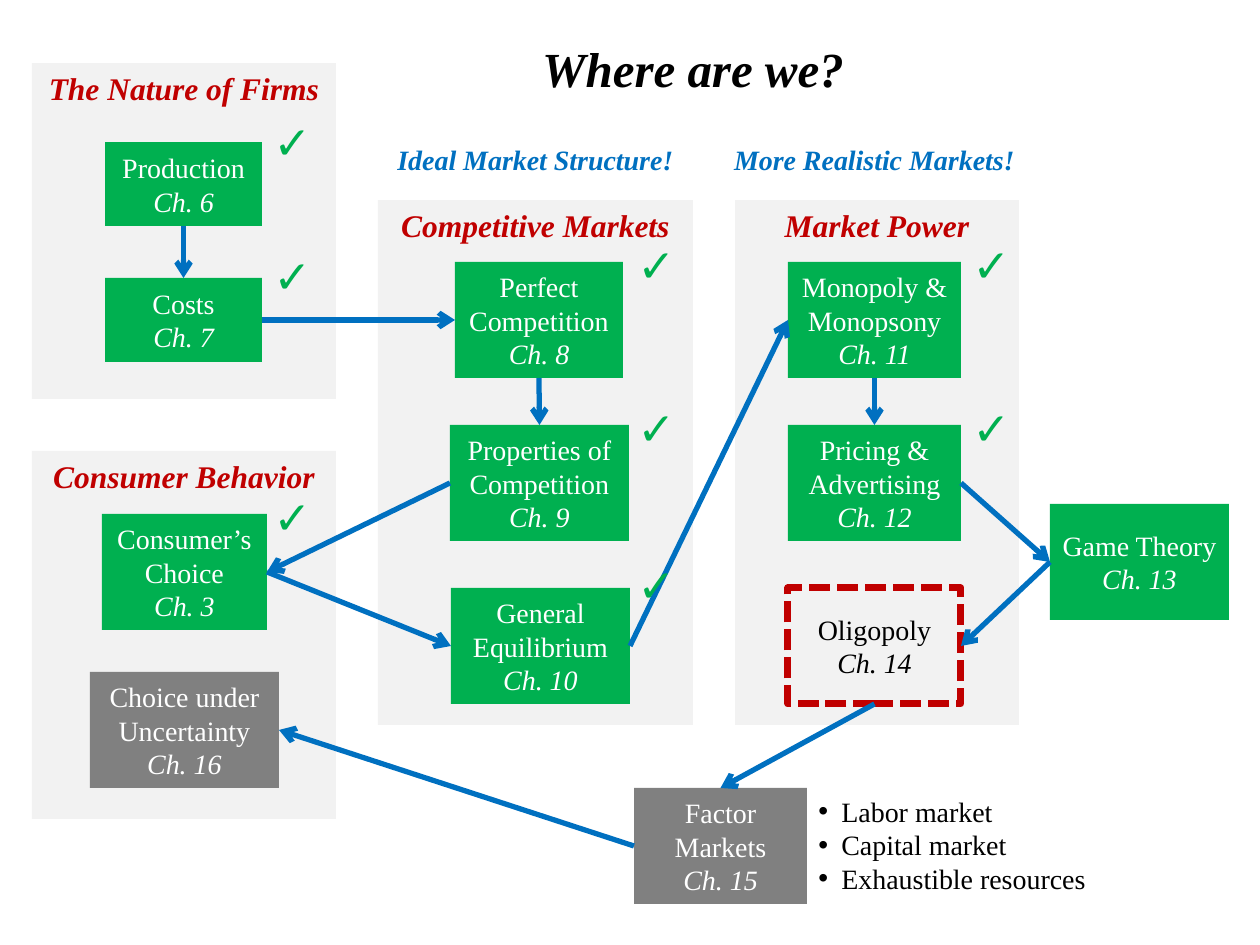
from lxml import etree
from pptx import Presentation
from pptx.dml.color import RGBColor
from pptx.enum.dml import MSO_LINE
from pptx.enum.shapes import MSO_CONNECTOR, MSO_SHAPE
from pptx.enum.text import MSO_ANCHOR, PP_ALIGN
from pptx.oxml.ns import qn
from pptx.util import Emu, Pt

EMU_PER_PX = 914400 / 126
RECTANGLE = MSO_SHAPE.RECTANGLE
STRAIGHT = MSO_CONNECTOR.STRAIGHT
DASH = MSO_LINE.SQUARE_DOT
TOP_ANCHOR, MIDDLE_ANCHOR = MSO_ANCHOR.TOP, MSO_ANCHOR.MIDDLE
LEFT_ALIGN, CENTER_ALIGN = PP_ALIGN.LEFT, PP_ALIGN.CENTER
TOP, LEFT, BOTTOM, RIGHT = range(4)  # connection sites of a rectangle

COLORS = {
    "panel": "F2F2F2", "done": "00B050", "later": "808080", "accent": "C00000",
    "arrow": "0070C0", "white": "FFFFFF", "black": "000000",
}
SERIF = "Times New Roman"
BOX_FONT = {"name": SERIF, "size": Pt(16)}
HEADING_FONT = {"name": SERIF, "size": Pt(18), "bold": True, "italic": True}
CAPTION_FONT = HEADING_FONT | {"size": Pt(16)}
TITLE_FONT = HEADING_FONT | {"size": Pt(28)}
CHECK_FONT = {"name": "Arial", "size": Pt(26)}

PANELS = [
    ("The Nature of Firms", 32, 63, 304, 336),
    ("Competitive Markets", 378, 200, 315, 525),
    ("Consumer Behavior", 32, 451, 304, 368),
    ("Market Power", 735, 200, 284, 525),
]
# chapter: topic, left, top, width, height, fill
TOPICS = {
    6: ("Production", 105, 142, 157, 84, "done"),
    7: ("Costs", 105, 278, 157, 84, "done"),
    8: ("Perfect Competition", 455, 262, 168, 116, "done"),
    9: ("Properties of Competition", 450, 425, 179, 116, "done"),
    10: ("General Equilibrium", 451, 588, 179, 116, "done"),
    3: ("Consumer’s Choice", 102, 514, 165, 116, "done"),
    11: ("Monopoly & Monopsony", 788, 262, 173, 116, "done"),
    12: ("Pricing & Advertising", 788, 425, 173, 116, "done"),
    13: ("Game Theory", 1050, 504, 179, 116, "done"),
    14: ("Oligopoly", 788, 588, 173, 116, None),
    15: ("Factor Markets", 634, 788, 173, 116, "later"),
    16: ("Choice under Uncertainty", 90, 672, 189, 116, "later"),
}
# from chapter, its side, to chapter, its side
ARROWS = [
    (6, BOTTOM, 7, TOP), (7, RIGHT, 8, LEFT), (8, BOTTOM, 9, TOP),
    (9, LEFT, 3, RIGHT), (3, RIGHT, 10, LEFT), (10, RIGHT, 11, LEFT),
    (11, BOTTOM, 12, TOP), (12, RIGHT, 13, LEFT), (13, LEFT, 14, RIGHT),
    (14, BOTTOM, 15, TOP), (15, LEFT, 16, RIGHT),
]
CHECK_COLUMNS = {261: (108, 242, 483), 625: (231, 394, 551), 960: (231, 394)}
FACTOR_MARKETS = ["Labor market", "Capital market", "Exhaustible resources"]


def px(*lengths):
    return [Emu(round(length * EMU_PER_PX)) for length in lengths]


def rgb(name):
    return RGBColor.from_string(COLORS[name])


def add_span(para, text, color, font):
    span = para.add_run()
    span.text = text
    span.font.color.rgb = rgb(color)
    for name, value in font.items():
        setattr(span.font, name, value)


def write_lines(shape, lines, color, anchor=TOP_ANCHOR, align=CENTER_ALIGN):
    """Write one paragraph for each (text, font) pair."""
    frame = shape.text_frame
    frame.word_wrap = True
    frame.vertical_anchor = anchor
    for index, (text, font) in enumerate(lines):
        para = frame.add_paragraph() if index else frame.paragraphs[0]
        para.alignment = align
        add_span(para, text, color, font)


def add_rectangle(page, place, fill):
    box = page.shapes.add_shape(RECTANGLE, *px(*place))
    box.shadow.inherit = False
    box.line.fill.background()
    if fill:
        box.fill.solid()
        box.fill.fore_color.rgb = rgb(fill)
    else:
        box.fill.background()
    return box


def add_panel(page, heading, *place):
    panel = add_rectangle(page, place, "panel")
    write_lines(panel, [(heading, HEADING_FONT)], "accent")


def add_topic(page, chapter, topic, *place, fill):
    """Add a chapter box; the current chapter has no fill but a dashed outline."""
    box = add_rectangle(page, place, fill)
    if not fill:
        box.line.color.rgb = rgb("accent")
        box.line.width = Pt(4)
        box.line.dash_style = DASH
    lines = [(topic, BOX_FONT), (f"Ch. {chapter}", BOX_FONT | {"italic": True})]
    write_lines(box, lines, "white" if fill else "black", MIDDLE_ANCHOR)
    return box


def add_arrow(page, start_box, start_side, end_box, end_side):
    arrow = page.shapes.add_connector(STRAIGHT, 0, 0, 0, 0)
    arrow.begin_connect(start_box, start_side)
    arrow.end_connect(end_box, end_side)
    arrow.line.color.rgb = rgb("arrow")
    arrow.line.width = Pt(3)
    etree.SubElement(arrow.line._get_or_add_ln(), qn("a:tailEnd"), type="arrow")
    etree.SubElement(arrow._element.spPr, qn("a:effectLst"))


def add_text(page, lines, color, font, *place, align=CENTER_ALIGN):
    box = page.shapes.add_textbox(*px(*place))
    write_lines(box, [(line, font) for line in lines], color, align=align)
    return box


def add_bullets(page, items, *place):
    box = add_text(page, items, "black", BOX_FONT, *place, align=LEFT_ALIGN)
    indent = px(23)[0]
    for para in box.text_frame.paragraphs:
        properties = para._p.get_or_add_pPr()
        properties.set("marL", str(indent))
        properties.set("indent", str(-indent))
        etree.SubElement(properties, qn("a:buFont"), typeface="Arial")
        etree.SubElement(properties, qn("a:buChar"), char="•")


def main():
    deck = Presentation()
    deck.slide_width, deck.slide_height = px(1260, 945)
    page = deck.slides.add_slide(deck.slide_layouts[6])

    for panel in PANELS:
        add_panel(page, *panel)
    boxes = {}
    for chapter, (*content, fill) in TOPICS.items():
        boxes[chapter] = add_topic(page, chapter, *content, fill=fill)
    for start, start_side, end, end_side in ARROWS:
        add_arrow(page, boxes[start], start_side, boxes[end], end_side)

    add_bullets(page, FACTOR_MARKETS, 806, 788, 338, 115)
    add_text(page, ["Ideal Market Structure!"], "arrow", CAPTION_FONT, 377, 136, 317, 47)
    add_text(page, ["More Realistic Markets!"], "arrow", CAPTION_FONT, 716, 136, 317, 47)
    add_text(page, ["Where are we?"], "black", TITLE_FONT, 398, 32, 590, 72)
    for left, tops in CHECK_COLUMNS.items():
        for top in tops:
            add_text(page, ["✓"], "done", CHECK_FONT, left, top, 53, 68)

    deck.save("out.pptx")


if __name__ == "__main__":
    main()
